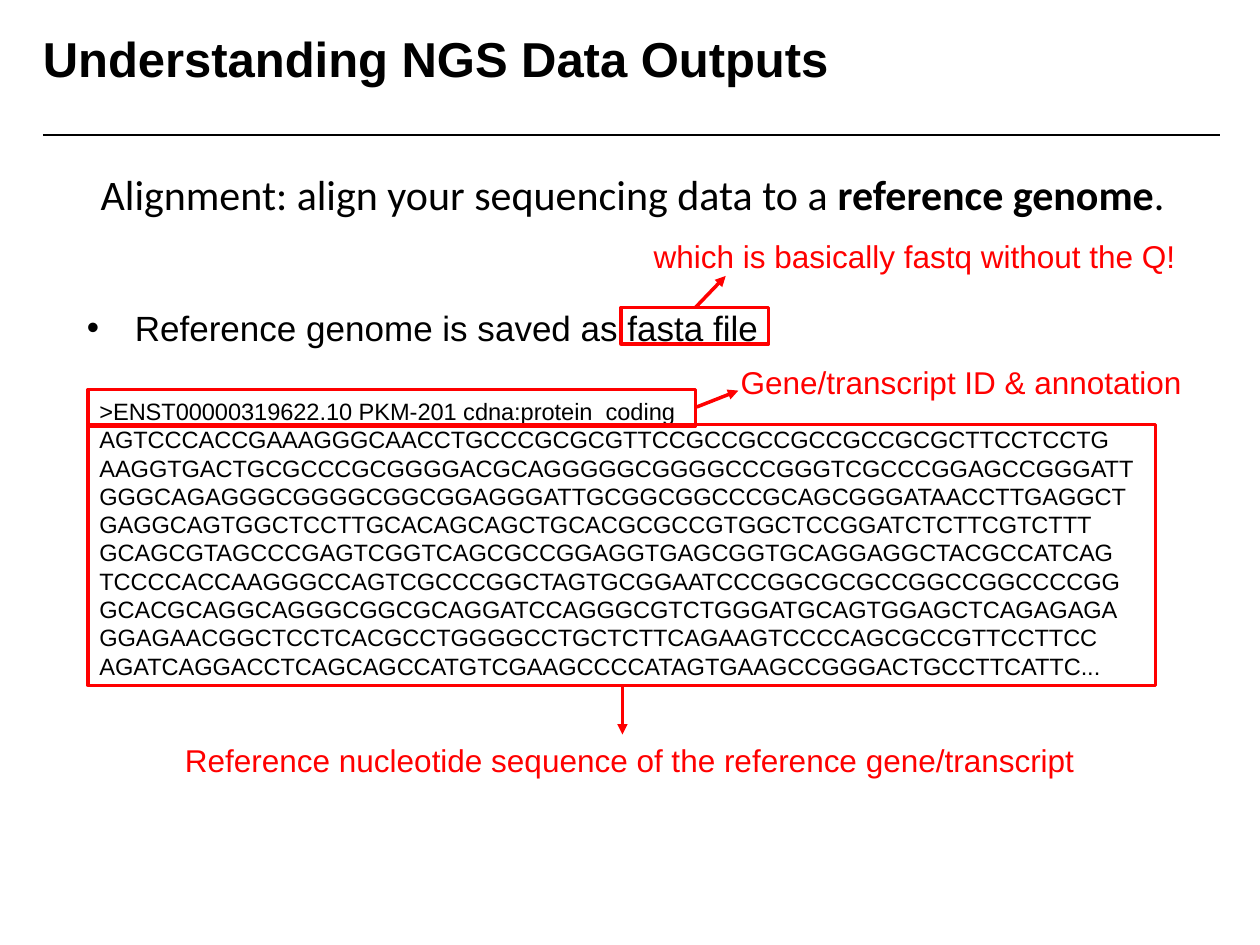
from lxml.etree import SubElement
from pptx import Presentation
from pptx.dml.color import RGBColor
from pptx.enum.shapes import MSO_CONNECTOR, MSO_SHAPE
from pptx.enum.text import MSO_ANCHOR, MSO_AUTO_SIZE, PP_ALIGN
from pptx.oxml.ns import qn
from pptx.util import Inches, Pt

BLACK = RGBColor(0, 0, 0)
RED = RGBColor(0xFF, 0, 0)

TITLE = "Understanding NGS Data Outputs"
SUMMARY = [
    ("Alignment: align your sequencing data to a ", False),
    ("reference genome", True),
    (".", False),
]
BULLET = "Reference genome is saved as fasta file"
FASTA = [
    ">ENST00000319622.10 PKM-201 cdna:protein_coding",
    "AGTCCCACCGAAAGGGCAACCTGCCCGCGCGTTCCGCCGCCGCCGCCGCGCTTCCTCCTG",
    "AAGGTGACTGCGCCCGCGGGGACGCAGGGGGCGGGGCCCGGGTCGCCCGGAGCCGGGATT",
    "GGGCAGAGGGCGGGGCGGCGGAGGGATTGCGGCGGCCCGCAGCGGGATAACCTTGAGGCT",
    "GAGGCAGTGGCTCCTTGCACAGCAGCTGCACGCGCCGTGGCTCCGGATCTCTTCGTCTTT",
    "GCAGCGTAGCCCGAGTCGGTCAGCGCCGGAGGTGAGCGGTGCAGGAGGCTACGCCATCAG",
    "TCCCCACCAAGGGCCAGTCGCCCGGCTAGTGCGGAATCCCGGCGCGCCGGCCGGCCCCGG",
    "GCACGCAGGCAGGGCGGCGCAGGATCCAGGGCGTCTGGGATGCAGTGGAGCTCAGAGAGA",
    "GGAGAACGGCTCCTCACGCCTGGGGCCTGCTCTTCAGAAGTCCCCAGCGCCGTTCCTTCC",
    "AGATCAGGACCTCAGCAGCCATGTCGAAGCCCCATAGTGAAGCCGGGACTGCCTTCATTC...",
]
# label, label box, highlighted box, arrow start and end (inches)
CALLOUTS = [
    ("which is basically fastq without the Q!",
     (5.09, 1.83, 4.64, 0.4), (4.93, 2.44, 1.17, 0.29),
     (5.52, 2.44, 5.76, 2.19)),
    ("Gene/transcript ID & annotation",
     (5.78, 2.83, 4.64, 0.4), (0.7, 3.09, 4.82, 0.29),
     (5.53, 3.23, 5.86, 3.1)),
    ("Reference nucleotide sequence of the reference gene/transcript",
     (1.37, 5.83, 7.44, 0.4), (0.7, 3.37, 8.47, 2.07),
     (4.94, 5.44, 4.94, 5.83)),
]


def inches(values):
    return [Inches(value) for value in values]


def style_text(frame, size, color=BLACK, font="Arial"):
    for paragraph in frame.paragraphs:
        for run in paragraph.runs:
            run.font.name = font
            run.font.size = Pt(size)
            run.font.color.rgb = color


def fill_placeholder(placeholder, text, box, size):
    placeholder.left, placeholder.top, placeholder.width, placeholder.height = inches(box)
    frame = placeholder.text_frame
    frame.text = text
    frame.auto_size = MSO_AUTO_SIZE.NONE
    frame.vertical_anchor = MSO_ANCHOR.TOP
    frame.margin_left = frame.margin_right = frame.margin_top = frame.margin_bottom = 0
    frame.paragraphs[0].alignment = PP_ALIGN.LEFT
    style_text(frame, size)
    return frame.paragraphs[0]


def add_text(shapes, box, text=""):
    frame = shapes.add_textbox(*inches(box)).text_frame
    frame.word_wrap = True
    frame.auto_size = MSO_AUTO_SIZE.SHAPE_TO_FIT_TEXT
    frame.text = text
    return frame


def add_line(shapes, ends, color, width, arrow=False):
    line = shapes.add_connector(MSO_CONNECTOR.STRAIGHT, *inches(ends))
    line.line.color.rgb = color
    line.line.width = Pt(width)
    if arrow:
        SubElement(line.line._get_or_add_ln(), qn("a:tailEnd"), type="triangle")
    SubElement(line._element.spPr, qn("a:effectLst"))


def add_callout(slide, label, label_box, target_box, arrow_ends):
    group = slide.shapes.add_group_shape().shapes
    target = group.add_shape(MSO_SHAPE.RECTANGLE, *inches(target_box))
    target.shadow.inherit = False
    target.fill.background()
    target.line.color.rgb = RED
    target.line.width = Pt(2)
    add_line(group, arrow_ends, RED, 2, arrow=True)
    style_text(add_text(group, label_box, label), 18, RED)


def main():
    deck = Presentation()
    deck.slide_width, deck.slide_height = Inches(10), Inches(7.5)
    slide = deck.slides.add_slide(deck.slide_layouts[1])

    add_line(slide.shapes, (0.34, 1.07, 9.68, 1.07), BLACK, 1)
    title = fill_placeholder(slide.shapes.title, TITLE, (0.34, 0.23, 7.42, 0.69), 28)
    title.runs[0].font.bold = True

    bullet = fill_placeholder(slide.placeholders[1], BULLET, (0.69, 2.43, 8.62, 0.83), 20)
    bullet_props = bullet._p.get_or_add_pPr()
    bullet_props.set("marL", str(Inches(0.38)))
    bullet_props.set("indent", str(Inches(-0.38)))
    SubElement(bullet_props, qn("a:buChar"), char="•")

    summary = add_text(slide.shapes, (0.7, 1.29, 8.79, 0.5))
    for text, bold in SUMMARY:
        run = summary.paragraphs[0].add_run()
        run.text = text
        run.font.bold = bold
    style_text(summary, 24, font="Calibri")

    style_text(add_text(slide.shapes, (0.69, 3.1, 8.48, 2.37), "\n".join(FASTA)), 13.5)

    for callout in CALLOUTS:
        add_callout(slide, *callout)

    deck.save("out.pptx")


if __name__ == "__main__":
    main()
